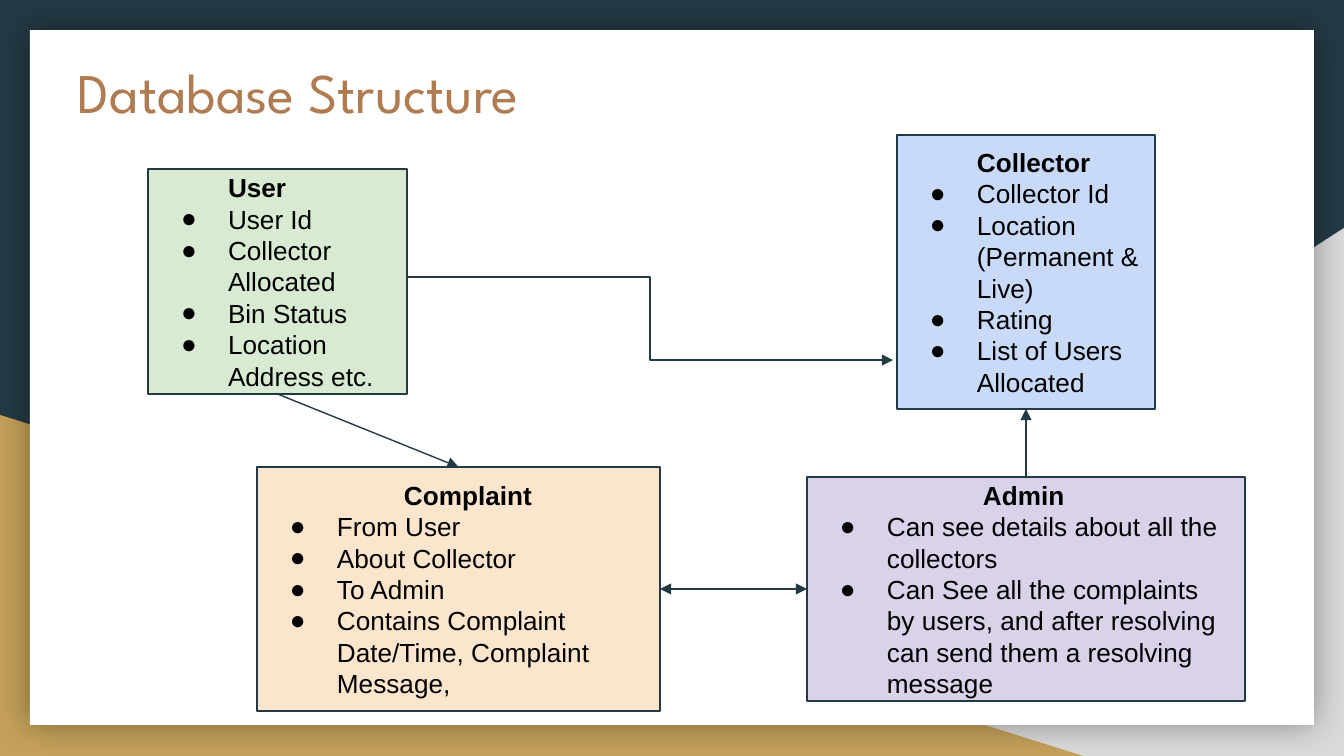
from lxml.etree import SubElement
from pptx import Presentation
from pptx.dml.color import RGBColor
from pptx.enum.shapes import MSO_CONNECTOR, MSO_SHAPE
from pptx.enum.text import MSO_ANCHOR, MSO_AUTO_SIZE, PP_ALIGN
from pptx.oxml.ns import qn
from pptx.util import Emu, Pt

SCALE = 914400 / 134.4
PAD = 13
INDENT = 67
HANG = -47
DARK = "233A44"
TOP, LEFT, BOTTOM, RIGHT = range(4)


def px(n):
    return Emu(round(n * SCALE))


def color(code):
    return RGBColor.from_string(code)


def node(parent, tag, **attrs):
    return SubElement(parent, qn(tag), attrs)


def style(para, font, size, code, bold=False):
    for run in para.runs:
        run.font.name = font
        run.font.size = Pt(size)
        run.font.bold = bold
        run.font.color.rgb = color(code)


def pad(frame):
    frame.margin_left = frame.margin_right = px(PAD)
    frame.margin_top = frame.margin_bottom = px(PAD)
    frame.word_wrap = True
    frame.auto_size = MSO_AUTO_SIZE.NONE


def block(slide, kind, area, fill):
    shape = slide.shapes.add_shape(kind, *map(px, area))
    shape.shadow.inherit = False
    shape.fill.solid()
    shape.fill.fore_color.rgb = color(fill)
    shape.line.fill.background()
    return shape


def bullet(para):
    props = para._p.get_or_add_pPr()
    props.set("indent", str(px(HANG)))
    node(node(props, "a:buClr"), "a:srgbClr", val="000000")
    node(props, "a:buFont", typeface="Arial")
    node(props, "a:buChar", char="●")


def entity(slide, area, fill, name, inset, items, tail=None):
    """Box with a bold name, a bulleted list and an optional plain last line."""
    box = block(slide, MSO_SHAPE.RECTANGLE, area, fill)
    box.line.color.rgb = color(DARK)
    box.line.width = Pt(0.75)
    frame = box.text_frame
    pad(frame)
    frame.vertical_anchor = MSO_ANCHOR.MIDDLE
    lines = [name, *items] + ([tail] if tail else [])
    frame.text = "\n".join(lines)
    for i, para in enumerate(frame.paragraphs):
        para.alignment = PP_ALIGN.LEFT
        para.line_spacing = Pt(16.8)
        left = INDENT if i else inset
        para._p.get_or_add_pPr().set("marL", str(px(left)))
        if 0 < i <= len(items):
            bullet(para)
        style(para, "Arial", 14, "000000", bold=i == 0)
    return box


def arrow(slide, kind=MSO_CONNECTOR.STRAIGHT, ends=(0, 0, 0, 0), both=False):
    line = slide.shapes.add_connector(kind, *map(px, ends))
    line.line.color.rgb = color(DARK)
    line.line.width = Pt(0.75)
    stroke = line.line._get_or_add_ln()
    if both:
        node(stroke, "a:headEnd", type="triangle")
    node(stroke, "a:tailEnd", type="triangle")
    node(line._element.spPr, "a:effectLst")
    return line


def link(slide, start, side, end, goal, both=False):
    line = arrow(slide, both=both)
    line.begin_connect(start, side)
    line.end_connect(end, goal)


def backdrop(slide):
    slide.background.fill.solid()
    slide.background.fill.fore_color.rgb = color(DARK)
    grey = block(slide, MSO_SHAPE.RIGHT_TRIANGLE, (527, 228, 817, 528), "D9D9D9")
    grey._element.spPr.get_or_add_xfrm().set("flipH", "1")
    block(slide, MSO_SHAPE.RIGHT_TRIANGLE, (0, 415, 1083, 341), "C4A15A")
    card = block(slide, MSO_SHAPE.RECTANGLE, (30, 30, 1284, 695), "FFFFFF")
    effect = card._element.spPr.find(qn("a:effectLst"))
    shade = node(effect, "a:outerShdw", blurRad=str(Pt(18)), dist="0",
                 algn="ctr", rotWithShape="0")
    tint = node(shade, "a:srgbClr", val="000000")
    node(tint, "a:alpha", val="40000")


def heading(slide, text):
    title = slide.shapes.title
    title.left, title.top, title.width, title.height = map(px, (65, 44, 1103, 140))
    # Bring the title in front of the backdrop
    slide.shapes._spTree.append(title._element)
    frame = title.text_frame
    frame.text = text
    pad(frame)
    frame.vertical_anchor = MSO_ANCHOR.TOP
    para = frame.paragraphs[0]
    para.alignment = PP_ALIGN.LEFT
    style(para, "League Spartan", 30, "AF7B51")


def main():
    deck = Presentation()
    deck.slide_width, deck.slide_height = px(1344), px(756)
    slide = deck.slides.add_slide(deck.slide_layouts[5])
    backdrop(slide)
    heading(slide, "Database Structure")

    # Entities
    user = entity(
        slide, (148, 169, 259, 225), "D9EAD3", "User", INDENT,
        ["User Id", "Collector Allocated", "Bin Status", "Location"],
        tail="Address etc.")
    admin = entity(
        slide, (807, 477, 438, 224), "D9D2E9", "Admin", 163,
        ["Can see details about all the collectors",
         "Can See all the complaints by users, and after resolving "
         "can send them a resolving message"])
    issue = entity(
        slide, (257, 467, 403, 244), "FCE5CD", "Complaint", 2 * INDENT,
        ["From User", "About Collector", "To Admin",
         "Contains Complaint Date/Time, Complaint Message,"])
    agent = entity(
        slide, (897, 135, 258, 274), "C9DAF8", "Collector", INDENT,
        ["Collector Id", "Location (Permanent & Live)", "Rating",
         "List of Users Allocated"])

    # Relations
    link(slide, user, BOTTOM, issue, TOP)
    link(slide, issue, RIGHT, admin, LEFT, both=True)
    link(slide, admin, TOP, agent, BOTTOM)
    arrow(slide, MSO_CONNECTOR.ELBOW, (407, 277, 893, 360))

    deck.save("out.pptx")


if __name__ == "__main__":
    main()
